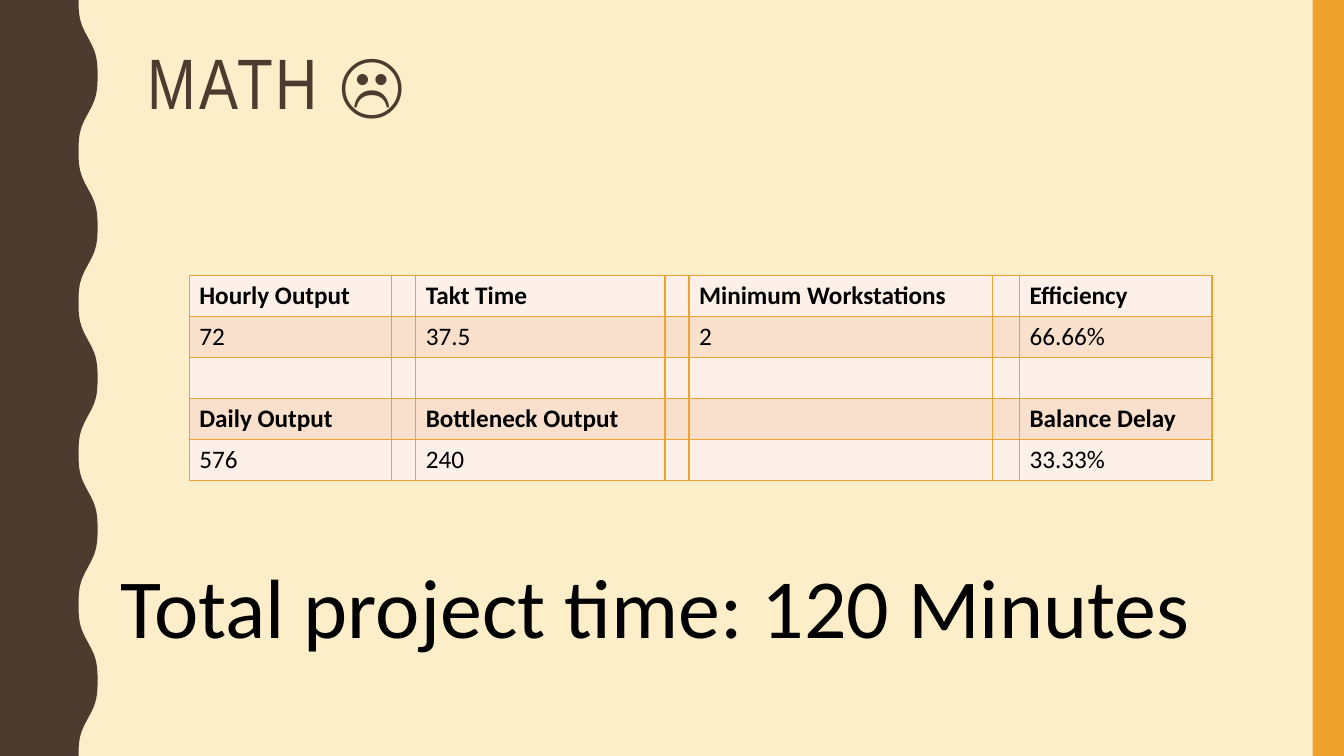
from dataclasses import dataclass
from math import cos, pi

from lxml.etree import SubElement as Sub
from pptx import Presentation
from pptx.dml.color import RGBColor as Rgb
from pptx.enum.shapes import MSO_SHAPE as Shape
from pptx.enum.text import MSO_ANCHOR as Anchor
from pptx.oxml.ns import qn
from pptx.util import Cm, Pt


@dataclass(frozen=True)
class Theme:
    """Colours, fonts and type sizes of the slide."""
    cream: str = "FBEEC9"
    brown: str = "4E3B30"
    gold: str = "F0A22E"
    black: str = "000000"
    bands: tuple = ("FCF0E8", "F9E0CD")
    head: str = "Arial Narrow"
    body: str = "Calibri"
    title: int = 51
    cell: int = 18
    total: int = 60


class Deck:
    """Draws styled elements on the current slide."""

    def __init__(self, theme, wide, high):
        """Open a blank slide of the given size in centimetres."""
        self.theme = theme
        self.high = high
        self.prs = Presentation()
        self.prs.slide_width, self.prs.slide_height = Cm(wide), Cm(high)
        self.slide = self.prs.slides.add_slide(self.prs.slide_layouts[6])
        self.paint(self.slide.background.fill, theme.cream)

    def paint(self, fill, tint):
        """Give a fill one solid colour."""
        fill.solid()
        fill.fore_color.rgb = Rgb.from_string(tint)

    def plain(self, shape, tint):
        """Leave a shape with a flat fill only."""
        shape.shadow.inherit = False
        self.paint(shape.fill, tint)
        shape.line.fill.background()

    def wave(self, mid, swing, period, steps):
        """Fill the left edge up to a rippled outline."""
        count = round(self.high / period * steps)
        dots = [(0, 0)]
        for i in range(count + 1):
            turn = 2 * pi * i / steps
            bend = 1.1 * cos(turn) - 0.1 * cos(3 * turn)
            dots.append((Cm(mid - swing * bend), Cm(period * i / steps)))
        dots.append((0, Cm(self.high)))
        form = self.slide.shapes.build_freeform(*dots[0])
        form.add_line_segments(dots[1:], close=True)
        self.plain(form.convert_to_shape(), self.theme.brown)

    def bar(self, left, top, wide, high):
        """Add a gold rectangle."""
        box = [Cm(n) for n in (left, top, wide, high)]
        self.plain(self.slide.shapes.add_shape(Shape.RECTANGLE, *box), self.theme.gold)

    def style(self, para, face, size, tint, bold=False):
        """Format every run of a paragraph."""
        for run in para.runs:
            font = run.font
            font.name, font.size, font.bold = face, Pt(size), bold
            font.color.rgb = Rgb.from_string(tint)

    def text(self, words, box, face, size, tint, lead=1.0, space=0):
        """Add a wrapped line of text, with tracking in points."""
        frame = self.slide.shapes.add_textbox(*[Cm(n) for n in box]).text_frame
        frame.word_wrap = True
        frame.vertical_anchor = Anchor.TOP
        frame.text = words
        para = frame.paragraphs[0]
        para.line_spacing = lead
        self.style(para, face, size, tint)
        for run in para.runs:
            run.font._element.set("spc", str(space * 100))

    def edge(self, cell):
        """Put a thin gold line on all sides of a cell."""
        props = cell._tc.get_or_add_tcPr()
        for side in ("lnL", "lnR", "lnT", "lnB"):
            line = Sub(props, qn("a:" + side), w=str(Pt(1)))
            fill = Sub(line, qn("a:solidFill"))
            Sub(fill, qn("a:srgbClr"), val=self.theme.gold)

    def table(self, left, top, cols, row, data, heads):
        """Add a banded table whose head rows are bold."""
        size = [Cm(n) for n in (left, top, sum(cols), row * len(data))]
        grid = self.slide.shapes.add_table(len(data), len(cols), *size).table
        grid.first_row = grid.horz_banding = False
        for col, wide in zip(grid.columns, cols):
            col.width = Cm(wide)
        for i, words in enumerate(data):
            grid.rows[i].height = Cm(row)
            for j in range(len(cols)):
                cell = grid.cell(i, j)
                self.edge(cell)
                self.paint(cell.fill, self.theme.bands[i % 2])
                if j % 2 == 0 and words[j // 2]:
                    cell.text_frame.text = words[j // 2]
                    self.style(cell.text_frame.paragraphs[0], self.theme.body,
                               self.theme.cell, self.theme.black, i in heads)


def main():
    """Build and save the slide."""
    look = Theme()
    deck = Deck(look, 33.87, 19.05)
    deck.wave(mid=2.22, swing=0.24, period=3.81, steps=24)
    deck.bar(33.08, 0, 0.79, 19.05)
    deck.text("MATH ☹", (3.48, 1.07, 28.27, 4.14), look.head, look.title,
              look.brown, lead=0.9, space=2)
    data = [
        ("Hourly Output", "Takt Time", "Minimum Workstations", "Efficiency"),
        ("72", "37.5", "2", "66.66%"),
        ("", "", "", ""),
        ("Daily Output", "Bottleneck Output", "", "Balance Delay"),
        ("576", "240", "", "33.33%"),
    ]
    cols = (5.1, 0.6, 6.28, 0.6, 7.64, 0.69, 4.85)
    deck.table(4.77, 6.95, cols, 1.03, data, heads=(0, 3))
    deck.text("Total project time: 120 Minutes", (2.79, 13.84, 28.27, 2.82),
              look.body, look.total, look.black)
    deck.prs.save("out.pptx")


if __name__ == "__main__":
    main()
